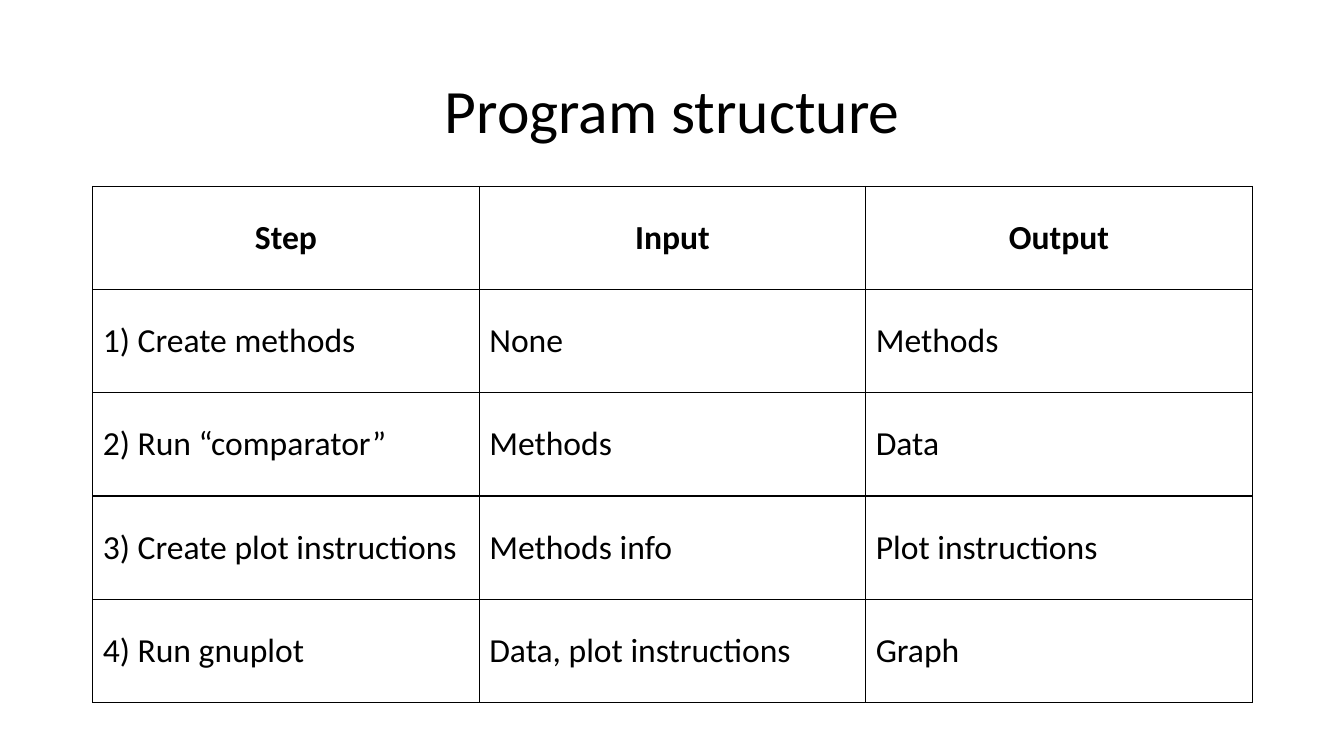
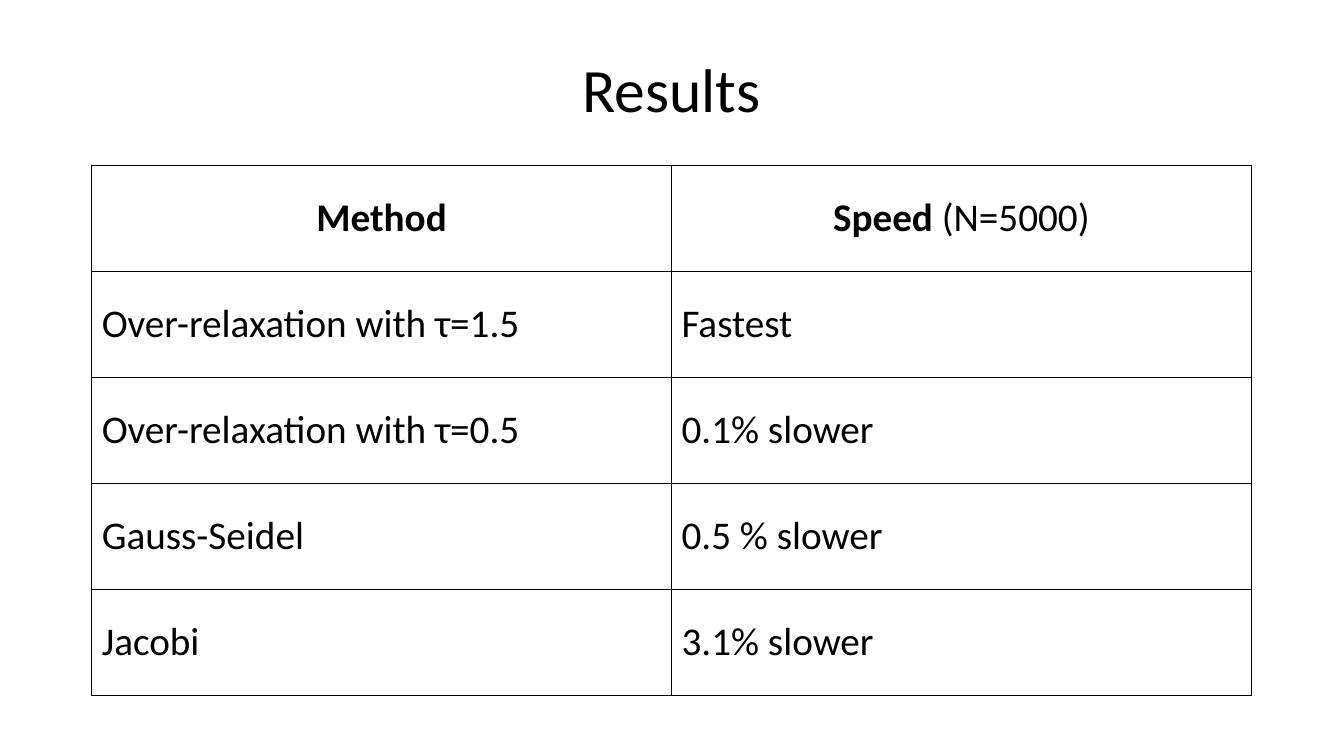
from dataclasses import dataclass

from lxml.etree import SubElement
from pptx import Presentation
from pptx.dml.color import RGBColor
from pptx.enum.text import MSO_ANCHOR, PP_ALIGN
from pptx.oxml.ns import qn
from pptx.util import Inches, Pt


@dataclass(frozen=True)
class Theme:
    font: str = "Calibri"
    ink: str = "000000"
    paper: str = "FFFFFF"
    title: int = 44
    rule: int = 1
    wide: float = 13.33
    high: float = 7.5
    span: float = 11.5  # width of titles and tables


LOOK = Theme()

# Header cells list (text, bold) runs
STEPS = [
    [[("Step", True)], [("Input", True)], [("Output", True)]],
    ["1) Create methods", "None", "Methods"],
    ["2) Run “comparator”", "Methods", "Data"],
    ["3) Create plot instructions", "Methods info", "Plot instructions"],
    ["4) Run gnuplot", "Data, plot instructions", "Graph"],
]
SPEEDS = [
    [[("Method", True)], [("Speed ", True), ("(N=5000)", False)]],
    ["Over-relaxation with τ=1.5", "Fastest"],
    ["Over-relaxation with τ=0.5", "0.1% slower"],
    ["Gauss-Seidel", "0.5 % slower"],
    ["Jacobi", "3.1% slower"],
]


def write(para, runs, size, align):
    """Fill a paragraph with (text, bold) runs."""
    para.alignment = align
    for text, bold in runs:
        run = para.add_run()
        run.text = text
        font = run.font
        font.name, font.size, font.bold = LOOK.font, Pt(size), bold
        font.color.rgb = RGBColor.from_string(LOOK.ink)


def add_title(slide, text, left, top, height):
    box = slide.shapes.add_textbox(
        Inches(left), Inches(top), Inches(LOOK.span), Inches(height))
    frame = box.text_frame
    frame.word_wrap = True
    frame.vertical_anchor = MSO_ANCHOR.MIDDLE
    para = frame.paragraphs[0]
    para.line_spacing = 0.9
    write(para, [(text, False)], LOOK.title, PP_ALIGN.CENTER)


def frame_cell(cell):
    """Rule all four sides, then fill the cell."""
    props = cell._tc.get_or_add_tcPr()
    for side in ("a:lnL", "a:lnR", "a:lnT", "a:lnB"):
        line = SubElement(props, qn(side), w=str(Pt(LOOK.rule)))
        fill = SubElement(line, qn("a:solidFill"))
        SubElement(fill, qn("a:srgbClr"), val=LOOK.ink)
    cell.fill.solid()
    cell.fill.fore_color.rgb = RGBColor.from_string(LOOK.paper)


def add_grid(slide, data, left, top, height, size):
    """Draw a table with equal columns and equal rows."""
    table = slide.shapes.add_table(
        len(data), len(data[0]), Inches(left), Inches(top),
        Inches(LOOK.span), Inches(height)).table
    table.horz_banding = False
    for r, row in enumerate(data):
        for c, item in enumerate(row):
            cell = table.cell(r, c)
            frame_cell(cell)
            cell.vertical_anchor = MSO_ANCHOR.MIDDLE
            runs = [(item, False)] if r else item
            align = PP_ALIGN.LEFT if r else PP_ALIGN.CENTER
            write(cell.text_frame.paragraphs[0], runs, size, align)


def add_page(deck):
    slide = deck.slides.add_slide(deck.slide_layouts[6])
    fill = slide.background.fill
    fill.solid()
    fill.fore_color.rgb = RGBColor.from_string(LOOK.paper)
    return slide


def main():
    deck = Presentation()
    deck.slide_width = Inches(LOOK.wide)
    deck.slide_height = Inches(LOOK.high)

    # Program structure
    page = add_page(deck)
    add_title(page, "Program structure", 0.92, 0.4, 1.45)
    add_grid(page, STEPS, 0.92, 1.85, 5.12, 24)

    # Results
    page = add_page(deck)
    add_title(page, "Results", 0.91, 0.32, 1.19)
    add_grid(page, SPEEDS, 0.91, 1.64, 5.26, 28)

    deck.save("out.pptx")


main()
